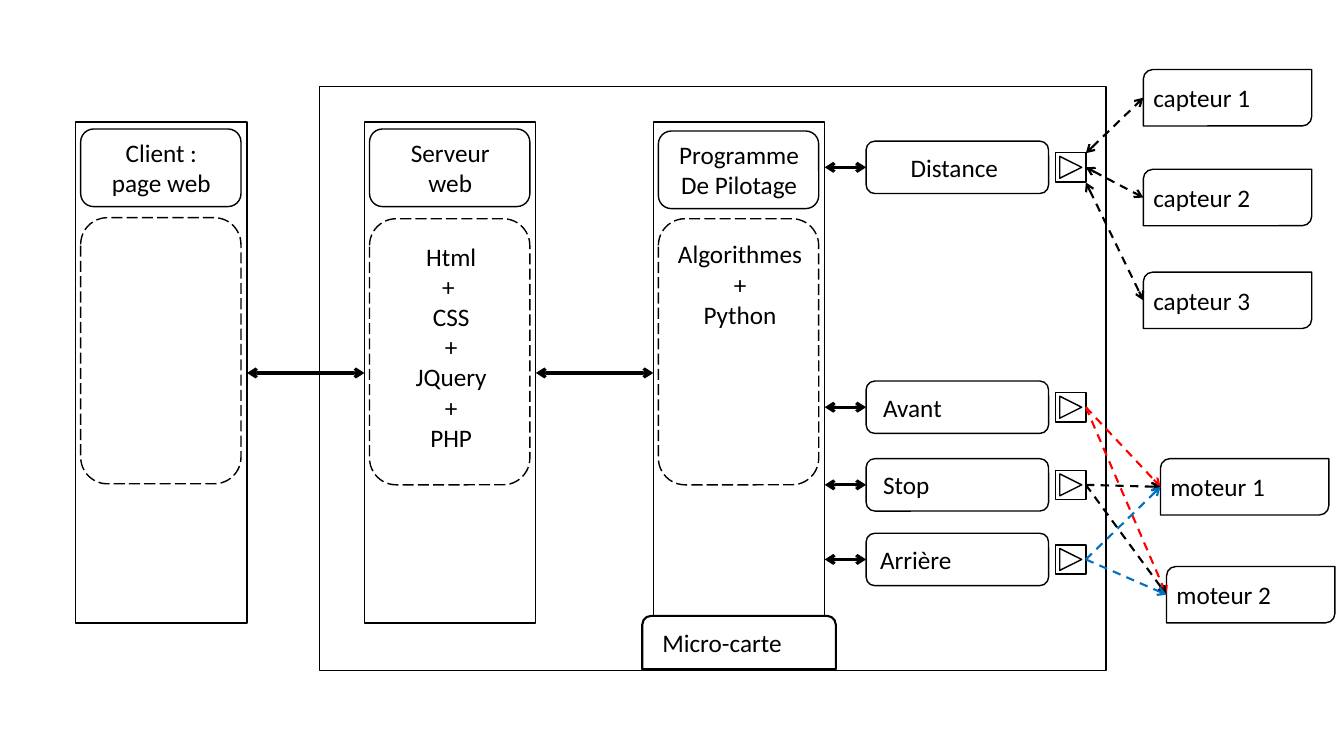
from dataclasses import dataclass

from lxml import etree
from pptx import Presentation
from pptx.dml.color import RGBColor
from pptx.enum import dml, shapes, text
from pptx.oxml import ns
from pptx.util import Inches, Pt


@dataclass(frozen=True)
class Theme:
    black: str = "000000"
    white: str = "FFFFFF"
    red: str = "FF0000"
    blue: str = "0070C0"
    font: str = "Calibri"
    size: float = 18
    thin: float = 1
    medium: float = 1.5
    thick: float = 2.25


theme = Theme()
SHAPE, DASH, ALIGN = shapes.MSO_SHAPE, dml.MSO_LINE, text.PP_ALIGN

# Content: title, title top, panel top, panel text, panel text top
columns = [
    (["Client :", "page web"], 1.28, 2.16, [], 0),
    (["Serveur web"], 1.28, 2.17,
     ["Html", "+ ", "CSS", "+", "JQuery", "+", "PHP"], 2.34),
    (["Programme ", "De Pilotage"], 1.3, 2.17, ["Algorithmes", "+", "Python"], 2.32),
]
board = "Micro-carte"
# Name: top, label left, alignment
commands = {
    "Distance": (1.4, 8.63, ALIGN.CENTER),
    "Avant": (3.78, 8.66, ALIGN.LEFT),
    "Stop": (4.55, 8.66, ALIGN.LEFT),
    "Arrière": (5.29, 8.63, ALIGN.LEFT),
}
# Name: left, top
devices = {
    "capteur 1": (11.34, 0.69),
    "capteur 2": (11.34, 1.68),
    "capteur 3": (11.34, 2.7),
    "moteur 1": (11.51, 4.55),
    "moteur 2": (11.57, 5.62),
}
# Sensor: start height on the Distance button
sensor_starts = {"capteur 1": 1.52, "capteur 2": 1.66, "capteur 3": 1.81}
motor_colors = {"Avant": theme.red, "Stop": theme.black, "Arrière": theme.blue}

# Measures
column_left, column_pitch, column_width = 0.75, 2.865, 1.7
column_top, column_height, column_middle = 1.21, 4.97, 3.7
command_left, command_width, command_height = 8.59, 1.81, 0.52
button_left, button_width, button_height = 10.47, 0.3, 0.29
device_width, device_height = 1.67, 0.56
line_height, text_margin = 0.3, 0.1

presentation = Presentation()
presentation.slide_width, presentation.slide_height = Inches(13.33), Inches(7.5)
slide = presentation.slides.add_slide(presentation.slide_layouts[6])


def style_line(line, color, width, dash=None):
    line.color.rgb = RGBColor.from_string(color)
    line.width = Pt(width)
    if dash:
        line.dash_style = dash


def add_box(kind, left, top, width, height, fill=None, weight=theme.thin, dash=None):
    shape = slide.shapes.add_shape(kind, *map(Inches, (left, top, width, height)))
    shape.shadow.inherit = False
    if fill:
        shape.fill.solid()
        shape.fill.fore_color.rgb = RGBColor.from_string(fill)
    else:
        shape.fill.background()
    style_line(shape.line, theme.black, weight, dash)


def add_label(lines, left, top, width, align=ALIGN.LEFT, rows=None):
    height = (rows or len(lines)) * line_height + text_margin
    label = slide.shapes.add_textbox(*map(Inches, (left, top, width, height)))
    frame = label.text_frame
    frame.word_wrap = True
    frame.auto_size = text.MSO_AUTO_SIZE.SHAPE_TO_FIT_TEXT
    frame.text = "\n".join(lines)
    for paragraph in frame.paragraphs:
        paragraph.alignment = align
        for run in paragraph.runs:
            run.font.name, run.font.size = theme.font, Pt(theme.size)
            run.font.color.rgb = RGBColor.from_string(theme.black)


def add_arrow(start, end, color=theme.black, weight=theme.thick, dash=None, both=True):
    connector = slide.shapes.add_connector(
        shapes.MSO_CONNECTOR.STRAIGHT, *map(Inches, (*start, *end)))
    style_line(connector.line, color, weight, dash)
    outline = connector.line._get_or_add_ln()
    for tag in ("a:headEnd", "a:tailEnd") if both else ("a:tailEnd",):
        etree.SubElement(outline, ns.qn(tag), type="arrow")
    properties = connector._element.spPr
    etree.SubElement(properties, ns.qn("a:effectLst"))


# Columns and board frame
lefts = [column_left + column_pitch * index for index in range(len(columns))]
for left in lefts:
    add_box(SHAPE.RECTANGLE, left, column_top, column_width, column_height)
add_box(SHAPE.RECTANGLE, 3.17, 0.86, 7.8, 5.79)
add_box(SHAPE.ROUND_2_SAME_RECTANGLE, 6.37, 6.11, 1.92, 0.53,
        theme.white, theme.medium)
add_label([board], 6.47, 6.17, 1.89)

# Titles and panels inside the columns
for left, (title, title_top, panel_top, body, body_top) in zip(lefts, columns):
    add_box(SHAPE.ROUNDED_RECTANGLE, left + 0.05, title_top, 1.59, 0.77)
    add_label(title, left + 0.14, title_top + 0.03, 1.42, ALIGN.CENTER, rows=2)
    add_box(SHAPE.ROUNDED_RECTANGLE, left + 0.05, panel_top, 1.59, 2.64,
            dash=DASH.LONG_DASH)
    if body:
        add_label(body, left + 0.14, body_top, 1.44, ALIGN.CENTER)

# Arrows between columns
for left, following in zip(lefts, lefts[1:]):
    add_arrow((left + column_width, column_middle), (following, column_middle))

# Commands with their buttons and links to the program
column_right = lefts[-1] + column_width
ports = {}
for name, (top, label_left, align) in commands.items():
    middle = top + command_height / 2
    ports[name] = (button_left + button_width, middle)
    add_box(SHAPE.ROUNDED_RECTANGLE, command_left, top, command_width, command_height)
    add_label([name], label_left, top + 0.06, 1.67, align)
    add_box(SHAPE.ACTION_BUTTON_FORWARD_OR_NEXT, button_left,
            middle - button_height / 2, button_width, button_height)
    add_arrow((column_right, middle), (command_left, middle))

# Sensors and motors
inputs = {}
for name, (left, top) in devices.items():
    inputs[name] = (left, top + device_height / 2)
    add_box(SHAPE.ROUND_2_DIAG_RECTANGLE, left, top, device_width, device_height,
            theme.white)
    add_label([name], left, top + 0.08, device_width)

# Dashed arrows
for name, start_top in sensor_starts.items():
    add_arrow((ports["Distance"][0], start_top), inputs[name],
              weight=theme.medium, dash=DASH.DASH)
for motor in ("moteur 1", "moteur 2"):
    for command, color in motor_colors.items():
        add_arrow(ports[command], inputs[motor], color, theme.medium,
                  DASH.DASH, both=False)

presentation.save("out.pptx")
